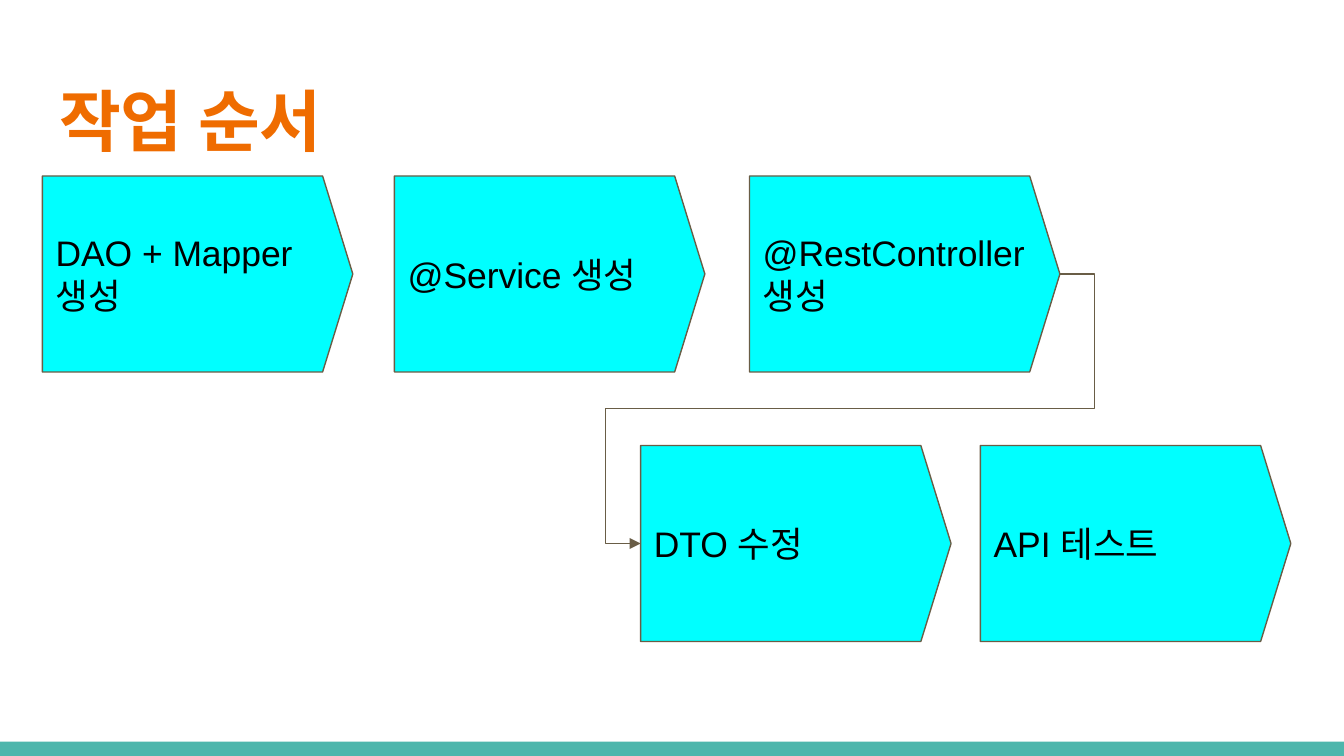
from pptx import Presentation
from pptx.dml.color import RGBColor
from pptx.enum.shapes import MSO_CONNECTOR, MSO_SHAPE
from pptx.enum.text import MSO_ANCHOR, MSO_AUTO_SIZE, PP_ALIGN
from pptx.oxml.ns import qn
from pptx.util import Pt
from lxml import etree

BOX, ARROW = MSO_SHAPE.RECTANGLE, MSO_SHAPE.PENTAGON
ELBOW = MSO_CONNECTOR.ELBOW
TOP, MIDDLE = MSO_ANCHOR.TOP, MSO_ANCHOR.MIDDLE
LEFT, NO_FIT = PP_ALIGN.LEFT, MSO_AUTO_SIZE.NONE
CYAN, BROWN = "00FFFF", "695D46"


def color(code):
    return RGBColor.from_string(code)


def write(shape, text, size=19, font="Arial", ink="000000", bold=False,
          anchor=MIDDLE):
    """Fill the shape with one paragraph per line of text."""
    frame = shape.text_frame
    frame.text = text
    frame.word_wrap = True
    frame.auto_size = NO_FIT
    frame.vertical_anchor = anchor
    frame.margin_left = frame.margin_right = Pt(7.2)
    frame.margin_top = frame.margin_bottom = Pt(7.2)
    for par in frame.paragraphs:
        par.alignment = LEFT
        for run in par.runs:
            run.font.size = Pt(size)
            run.font.name = font
            run.font.bold = bold
            run.font.color.rgb = color(ink)


deck = Presentation()
deck.slide_width, deck.slide_height = Pt(720), Pt(405)
slide = deck.slides.add_slide(deck.slide_layouts[5])
shapes = slide.shapes

# Title and footer band
title = shapes.title
title.left, title.top = Pt(24.5), Pt(35.5)
title.width, title.height = Pt(671), Pt(55.2)
write(title, "작업 순서", size=36, font="Roboto Condensed", ink="EF6C00",
      bold=True, anchor=TOP)

band = shapes.add_shape(BOX, 0, Pt(397.3), Pt(720), Pt(7.7))
band.shadow.inherit = False
band.fill.solid()
band.fill.fore_color.rgb = color("4DB6AC")
band.line.fill.background()

# Steps in two rows
WIDE, HIGH = 166.3, 105
ROW1, ROW2 = 94.3, 238.7
STEPS = [
    (22.7, ROW1, "DAO + Mapper\n생성"),
    (211.3, ROW1, "@Service 생성"),
    (401.5, ROW1, "@RestController\n생성"),
    (343.2, ROW2, "DTO 수정"),
    (525.2, ROW2, "API 테스트"),
]
steps = []
for x, y, text in STEPS:
    step = shapes.add_shape(ARROW, Pt(x), Pt(y), Pt(WIDE), Pt(HIGH))
    step.adjustments[0] = 0.154
    step.shadow.inherit = False
    step.fill.solid()
    step.fill.fore_color.rgb = color(CYAN)
    step.line.color.rgb = color(BROWN)
    step.line.width = Pt(0.75)
    write(step, text)
    steps.append(step)

# Link from the end of the first row to the start of the second
last, first = steps[2], steps[3]
link = shapes.add_connector(
    ELBOW, last.left + last.width, last.top + last.height // 2,
    first.left, first.top + first.height // 2)
link.line.color.rgb = color(BROWN)
link.line.width = Pt(0.75)
props = link._element.spPr
shape = props.find(qn("a:prstGeom"))
shape.set("prst", "bentConnector5")
guides = shape.find(qn("a:avLst"))
for num, value in enumerate((-8300, 50000, 108300), 1):
    etree.SubElement(guides, qn("a:gd"), name=f"adj{num}", fmla=f"val {value}")
etree.SubElement(props.find(qn("a:ln")), qn("a:tailEnd"), type="triangle")
etree.SubElement(props, qn("a:effectLst"))

deck.save("out.pptx")
